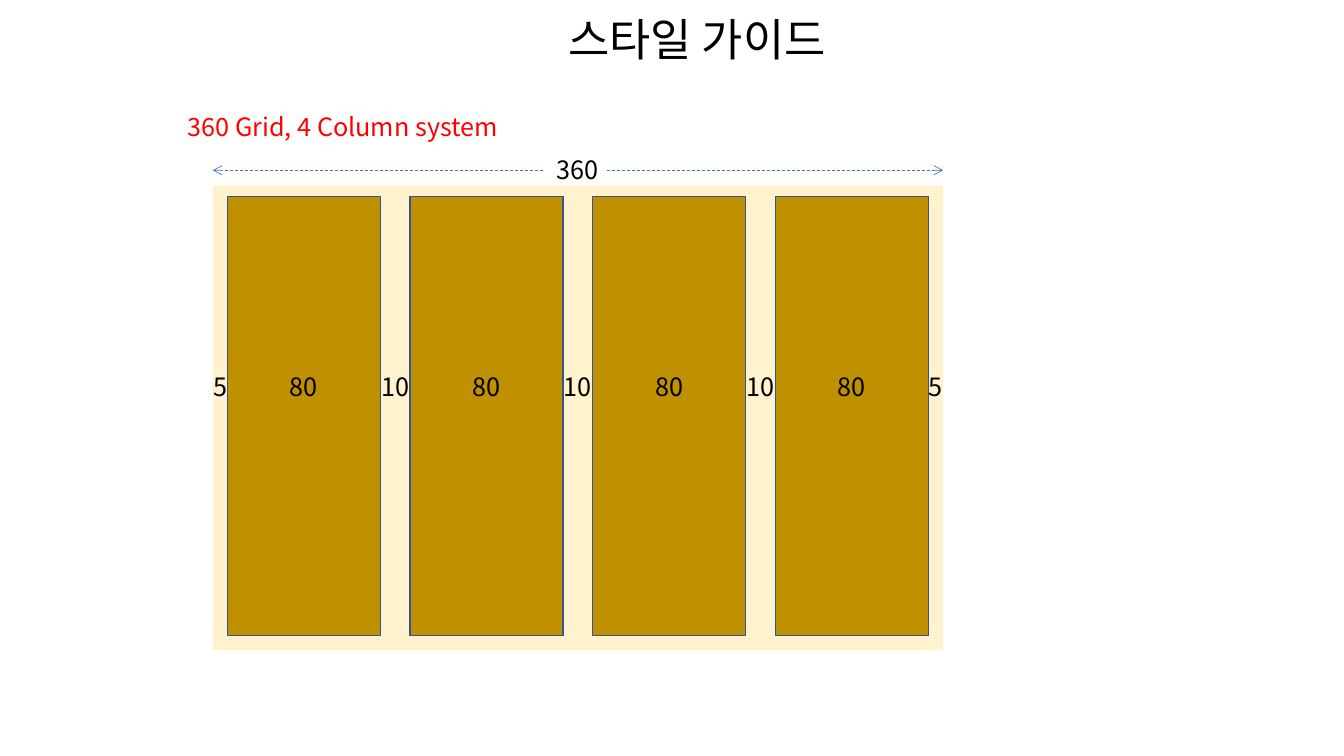
from lxml import etree
from pptx import Presentation
from pptx.dml.color import RGBColor
from pptx.enum.dml import MSO_LINE
from pptx.enum.shapes import MSO_CONNECTOR, MSO_SHAPE
from pptx.enum.text import MSO_ANCHOR, MSO_AUTO_SIZE, PP_ALIGN
from pptx.oxml.ns import qn
from pptx.util import Cm, Pt

RECT = MSO_SHAPE.RECTANGLE
LINE = MSO_CONNECTOR.STRAIGHT
DASH = MSO_LINE.DASH
MIDDLE = MSO_ANCHOR.MIDDLE
GROW = MSO_AUTO_SIZE.SHAPE_TO_FIT_TEXT
CENTER = PP_ALIGN.CENTER
FONT = "Noto Sans CJK KR"
COUNT = 4


def color(code):
    return RGBColor.from_string(code)


def add_text(slide, text, box, size=18, code="000000", wrap=True):
    shape = slide.shapes.add_textbox(*(Cm(v) for v in box))
    frame = shape.text_frame
    frame.word_wrap = wrap
    frame.auto_size = GROW
    frame.vertical_anchor = MIDDLE
    para = frame.paragraphs[0]
    para.alignment = CENTER
    run = para.add_run()
    run.text = text
    run.font.size = Pt(size)
    run.font.name = FONT
    run.font.color.rgb = color(code)
    props = run.font._element
    etree.SubElement(props, qn("a:ea")).set("typeface", FONT)


def add_label(slide, text, mid, top):
    wide = 2.36
    add_text(slide, text, (mid - wide / 2, top, wide, 1.03))


def add_rect(slide, box, fill, edge=None):
    shape = slide.shapes.add_shape(RECT, *(Cm(v) for v in box))
    shape.shadow.inherit = False
    shape.fill.solid()
    shape.fill.fore_color.rgb = color(fill)
    if edge:
        shape.line.color.rgb = color(edge)
        shape.line.width = Pt(1)
    else:
        shape.line.fill.background()


def add_arrow(slide, start, end, y):
    arrow = slide.shapes.add_connector(LINE, Cm(start), Cm(y), Cm(end), Cm(y))
    arrow.line.color.rgb = color("4472C4")
    arrow.line.width = Pt(0.5)
    arrow.line.dash_style = DASH
    tail = etree.SubElement(arrow.line._get_or_add_ln(), qn("a:tailEnd"))
    tail.set("type", "arrow")
    etree.SubElement(arrow._element.spPr, qn("a:effectLst"))


def add_head(slide):
    add_text(slide, "스타일 가이드", (13.69, 0.15, 7.75, 1.63), 32, wrap=False)
    add_text(slide, "360 Grid, 4 Column system", (3.56, 2.67, 10.16, 1.02),
             code="FF0000")


def add_span(slide, left, top, wide):
    # Total width: an arrow to each side of the number
    y = top + 0.53
    add_arrow(slide, left + 8.33, left, y)
    add_arrow(slide, left + 9.93, left + wide, y)
    add_label(slide, "360", left + 9.2, top)


def add_grid(slide, left, top, wide, high):
    # Panel and columns
    add_rect(slide, (left, top, wide, high), "FFF2CC")
    pitch = wide / COUNT
    col, edge = 3.86, 0.37
    for i in range(COUNT):
        x = left + i * pitch + edge
        add_rect(slide, (x, top + 0.28, col, high - 0.64), "BF9000", "325491")

    # Widths of columns, gutters and margins
    row = top + 4.55
    for i in range(COUNT):
        add_label(slide, "80", left + (i + 0.5) * pitch, row)
    for i in range(1, COUNT):
        add_label(slide, "10", left + i * pitch, row)
    for mid in (left + edge / 2, left + wide - edge / 2):
        add_label(slide, "5", mid, row)


def main():
    deck = Presentation()
    deck.slide_width, deck.slide_height = Cm(33.87), Cm(19.05)
    slide = deck.slides.add_slide(deck.slide_layouts[6])
    add_head(slide)
    add_grid(slide, 5.36, 4.67, 18.41, 11.71)
    add_span(slide, 5.36, 3.76, 18.41)
    deck.save("out.pptx")


if __name__ == "__main__":
    main()
